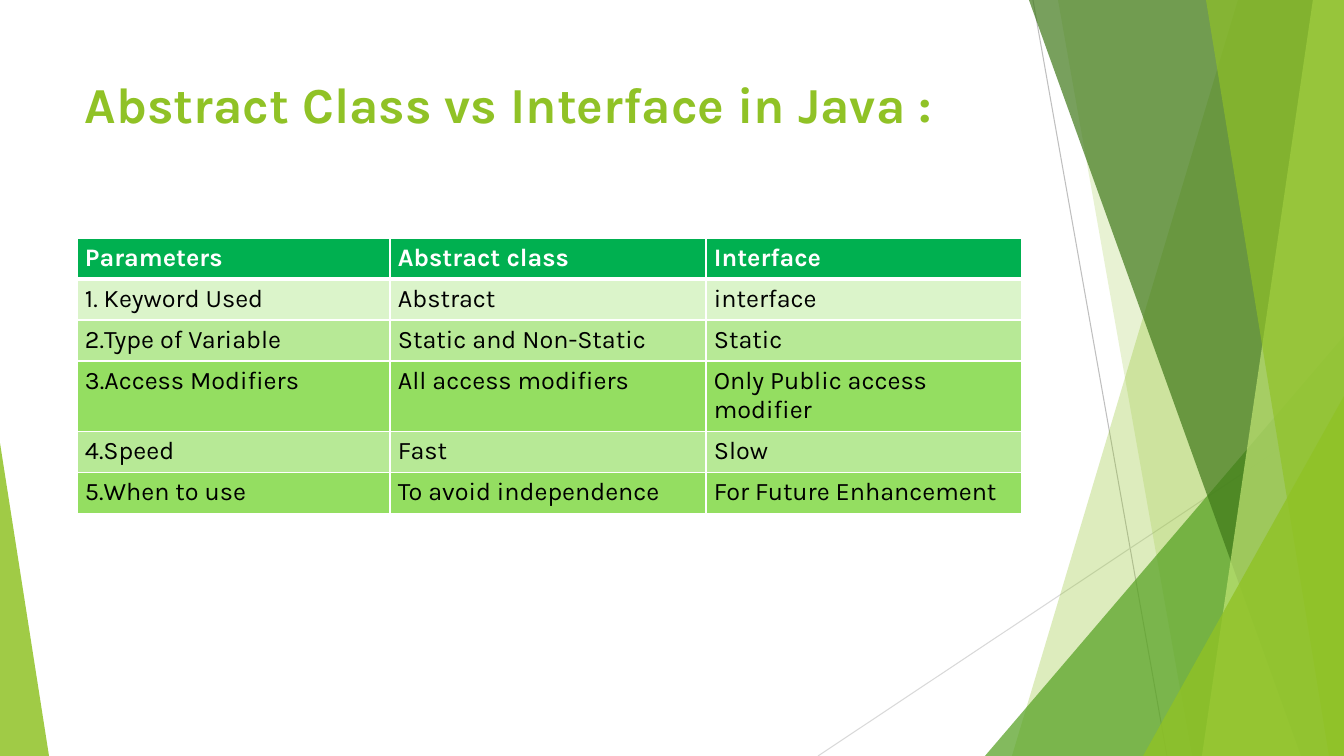
from dataclasses import dataclass

from lxml.etree import SubElement
from pptx import Presentation
from pptx.dml.color import RGBColor as RGB
from pptx.enum.shapes import MSO_CONNECTOR as Connector, MSO_SHAPE as Preset
from pptx.oxml.ns import qn
from pptx.util import Emu, Pt

WIDTH, HEIGHT = 1344, 756
SCALE = 12192000 / WIDTH


@dataclass(frozen=True)
class Theme:
    font: str = "Karla"
    title_size: int = 36
    cell_size: int = 18
    lime: str = "90C226"
    green: str = "54A021"
    forest: str = "3F7819"
    pale: str = "C0E474"
    white: str = "FFFFFF"
    black: str = "000000"
    header: str = "00B050"
    rows: tuple[str, ...] = ("DBF4CA", "B7E996", "94DE61", "B7E996", "94DE61")


@dataclass(frozen=True)
class Ray:
    start: tuple[int, int]
    end: tuple[int, int]
    color: str


@dataclass(frozen=True)
class Band:
    top_x: int
    bottom_x: int
    color: str
    opacity: int


@dataclass(frozen=True)
class Corner:
    left: int
    top: int
    width: int
    apex: int
    color: str
    opacity: int


THEME = Theme()
RAYS = (
    Ray((1033, 0), (1167, HEIGHT), "BFBFBF"),
    Ray((WIDTH, 406), (818, HEIGHT), "D9D9D9"),
)
FACETS = (
    Band(1238, 1012, THEME.lime, 30),
    Band(1058, 1192, THEME.lime, 20),
    Corner(985, 336, 359, 1, THEME.green, 72),
    Band(1029, 1301, THEME.forest, 70),
    Band(1313, 1202, THEME.pale, 70),
    Band(1206, 1329, THEME.lime, 65),
    Corner(1143, 396, 201, 1, THEME.lime, 80),
    Corner(0, 443, 49, 0, THEME.lime, 85),
)
TITLE = "Abstract Class vs Interface in Java :"
COMPARISON = (
    ("Parameters", "Abstract class", "Interface"),
    ("1. Keyword Used", "Abstract", "interface"),
    ("2.Type of Variable", "Static and Non-Static", "Static"),
    ("3.Access Modifiers", "All access modifiers", "Only Public access modifier"),
    ("4.Speed", "Fast", "Slow"),
    ("5.When to use", "To avoid independence", "For Future Enhancement"),
)
COLUMNS = (313, 316, 316)
ROW_HEIGHT = 41


def px(value: int) -> Emu:
    return Emu(round(value * SCALE))


def write(tf, text: str, size: int, color: str, bold: bool) -> None:
    r = tf.paragraphs[0].add_run()
    r.text = text
    for name, value in {"name": THEME.font, "size": Pt(size), "bold": bold}.items():
        setattr(r.font, name, value)
    r.font.color.rgb = RGB.from_string(color)


def draw_ray(s, ray: Ray) -> None:
    line = s.shapes.add_connector(Connector.STRAIGHT, *map(px, ray.start + ray.end))
    line.line.width = Pt(0.75)
    line.line.color.rgb = RGB.from_string(ray.color)
    SubElement(line._element.spPr, qn("a:effectLst"))


def draw_facet(s, facet: Band | Corner) -> None:
    if isinstance(facet, Band):
        outline = s.shapes.build_freeform(facet.top_x, 0, scale=SCALE)
        outline.add_line_segments(
            [(WIDTH, 0), (WIDTH, HEIGHT), (facet.bottom_x, HEIGHT)], close=True
        )
        sp = outline.convert_to_shape()
    else:
        box = (facet.left, facet.top, facet.width, HEIGHT - facet.top)
        sp = s.shapes.add_shape(Preset.ISOSCELES_TRIANGLE, *map(px, box))
        sp.adjustments[0] = facet.apex
    sp.shadow.inherit = False
    sp.line.fill.background()
    sp.fill.solid()
    sp.fill.fore_color.rgb = RGB.from_string(facet.color)
    color = sp._element.spPr.find(qn("a:solidFill"))[0]
    SubElement(color, qn("a:alpha"), val=str(facet.opacity * 1000))


def draw_title(s) -> None:
    tf = s.shapes.add_textbox(px(75), px(68), px(948), px(145)).text_frame
    tf.word_wrap = True
    write(tf, TITLE, THEME.title_size, THEME.lime, True)


def set_borders(cell, bottom: int) -> None:
    tc_pr = cell._tc.get_or_add_tcPr()
    widths = {"lnL": 1, "lnR": 1, "lnT": 1, "lnB": bottom}
    for index, (side, width) in enumerate(widths.items()):
        line = SubElement(tc_pr, qn(f"a:{side}"), w=str(Pt(width)))
        fill = SubElement(line, qn("a:solidFill"))
        SubElement(fill, qn("a:srgbClr"), val=THEME.white)
        tc_pr.insert(index, line)


def draw_table(s) -> None:
    size = (sum(COLUMNS), ROW_HEIGHT * len(COMPARISON))
    table = s.shapes.add_table(
        len(COMPARISON), len(COLUMNS), px(77), px(238), *map(px, size)
    ).table
    for name, value in {"first_row": False, "horz_banding": False}.items():
        setattr(table, name, value)
    for column, width in zip(table.columns, COLUMNS):
        column.width = px(width)
    margins = {
        "margin_left": px(8),
        "margin_right": px(8),
        "margin_top": px(5),
        "margin_bottom": px(5),
    }
    fills = (THEME.header, *THEME.rows)
    for i, (row, texts, fill) in enumerate(zip(table.rows, COMPARISON, fills)):
        row.height = px(ROW_HEIGHT)
        is_header = i == 0
        color = THEME.white if is_header else THEME.black
        for cell, text in zip(row.cells, texts):
            for name, value in margins.items():
                setattr(cell, name, value)
            cell.fill.solid()
            cell.fill.fore_color.rgb = RGB.from_string(fill)
            set_borders(cell, 3 if is_header else 1)
            write(cell.text_frame, text, THEME.cell_size, color, is_header)
    for cell in table.rows[1].cells:
        cell._tc.tcPr.find(qn("a:lnT")).set("w", str(Pt(3)))


def main() -> None:
    prs = Presentation()
    prs.slide_width, prs.slide_height = px(WIDTH), px(HEIGHT)
    s = prs.slides.add_slide(prs.slide_layouts[6])
    for ray in RAYS:
        draw_ray(s, ray)
    for facet in FACETS:
        draw_facet(s, facet)
    draw_title(s)
    draw_table(s)
    prs.save("out.pptx")


main()
